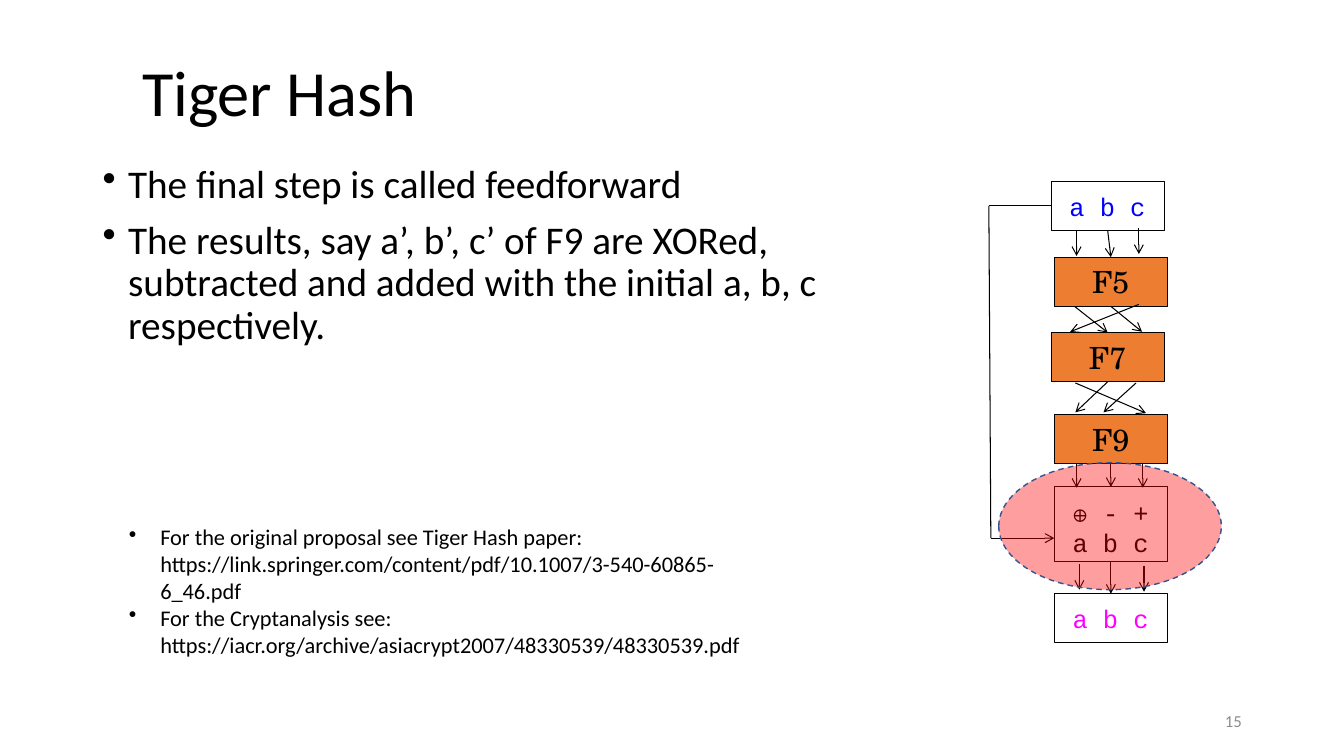
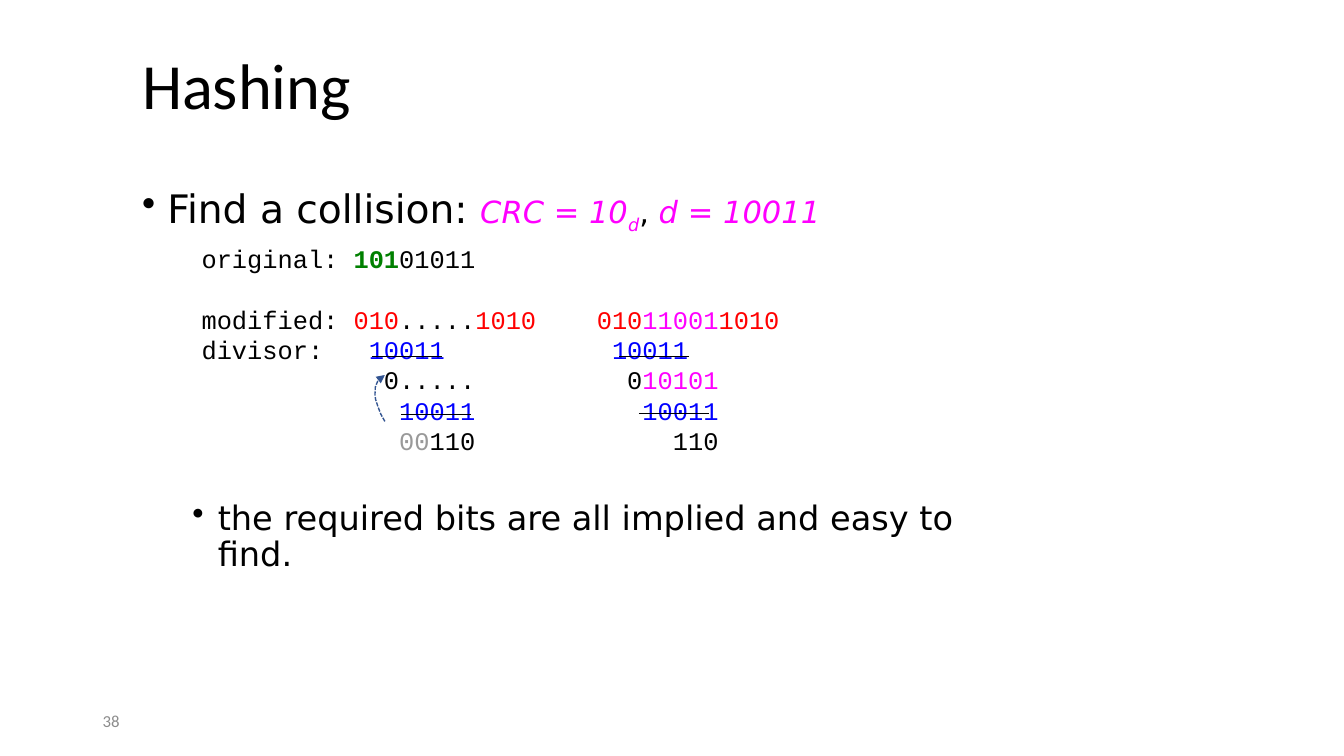
from dataclasses import dataclass
from typing import Optional, Union

from lxml import etree
from pptx import Presentation
from pptx import util as u
from pptx.dml.color import RGBColor
from pptx.enum import dml, shapes, text
from pptx.oxml.ns import qn

# Shared look
BLACK, GREY, DIM = "000000", "8C8C8C", "999999"
BLUE, RED, PINK, GREEN = "0000FF", "FF0000", "FF00FF", "008000"
ORANGE, NAVY = "ED7D31", "325491"
SANS, BODY, MONO, SERIF = "Calibri", "DejaVu Sans", "Courier New", "TeX Gyre Schola"
CODE_SIZE = 18.1
COLUMN = CODE_SIZE * 0.6 * 2.54 / 72  # width of one monospaced character in cm
INSET = (0.25, 0.13, 0.25, 0.13)
ANCHOR, ALIGN = text.MSO_ANCHOR, text.PP_ALIGN


@dataclass
class Run:
    text: str
    color: str = BLACK
    size: float = CODE_SIZE
    font: str = MONO
    bold: bool = False
    italic: bool = False
    baseline: int = 0


@dataclass
class Para:
    runs: list[Run]
    indent: float = 0
    hanging: float = 0
    before: float = 0
    line: Optional[float] = None
    align: ALIGN = ALIGN.LEFT
    tabs: tuple[float, ...] = ()


@dataclass
class Box:
    name: str
    left: float
    top: float
    lines: list[str]
    color: str = BLACK
    height: float = 1.24
    step: bool = False


# An end of a link is either a point in cm or a box name with its side
End = tuple[Union[float, str], float]


@dataclass
class Link:
    start: End
    end: End
    arrow: bool = True


@dataclass
class Cell:
    column: int
    runs: list[Run]


# Helpers
def rgb(color: str) -> RGBColor:
    return RGBColor.from_string(color)


def cm(*values: float) -> list[u.Cm]:
    return [u.Cm(v) for v in values]


def style_line(sp, color: str, width: float, dash=None, tail: str = "") -> None:
    sp.line.color.rgb = rgb(color)
    sp.line.width = u.Pt(width)
    if dash:
        sp.line.dash_style = dash
    if tail:
        etree.SubElement(sp.line._get_or_add_ln(), qn("a:tailEnd"), type=tail)


def write(tf, paras: list[Para], inset=INSET, anchor=ANCHOR.TOP, wrap: bool = True) -> None:
    tf.word_wrap = wrap
    tf.vertical_anchor = anchor
    tf.margin_left, tf.margin_top, tf.margin_right, tf.margin_bottom = cm(*inset)
    for i, para in enumerate(paras):
        p = tf.paragraphs[0] if i == 0 else tf.add_paragraph()
        p.alignment = para.align
        ppr = p._p.get_or_add_pPr()
        if para.hanging:
            ppr.set("marL", str(u.Cm(para.indent)))
            ppr.set("indent", str(-u.Cm(para.hanging)))
            etree.SubElement(ppr, qn("a:buChar"), char="•")
        if para.tabs:
            tabs = etree.SubElement(ppr, qn("a:tabLst"))
            for pos in para.tabs:
                etree.SubElement(tabs, qn("a:tab"), pos=str(u.Cm(pos)), algn="l")
        if para.line:
            p.line_spacing = para.line
        p.space_before = u.Pt(para.before if i else 0)
        for run in para.runs:
            r = p.add_run()
            r.text = run.text
            r.font.name, r.font.size = run.font, u.Pt(run.size)
            r.font.color.rgb = rgb(run.color)
            r.font.bold, r.font.italic = run.bold, run.italic
            if run.baseline:
                r._r.get_or_add_rPr().set("baseline", str(run.baseline * 1000))


def add_text(s, at: tuple[float, ...], paras: list[Para], **options) -> None:
    write(s.shapes.add_textbox(*cm(*at)).text_frame, paras, **options)


def add_slide(prs, title: str, title_top: float, number: str, number_left: float, align):
    s = prs.slides.add_slide(prs.slide_layouts[6])
    add_text(s, (3.33, title_top, 21.67, 2.03),
             [Para([Run(title, size=46, font=SANS)], line=0.9)], anchor=ANCHOR.MIDDLE)
    add_text(s, (number_left, 17.65, 7.62, 1.02),
             [Para([Run(number, GREY, 12, SANS)], align=align)], anchor=ANCHOR.MIDDLE)
    return s


def add_box(s, box: Box):
    sp = s.shapes.add_shape(shapes.MSO_SHAPE.RECTANGLE,
                            *cm(box.left, box.top, 2.85, box.height))
    sp.shadow.inherit = False
    style_line(sp, BLACK, 0.75)
    if box.step:
        sp.fill.solid()
        sp.fill.fore_color.rgb = rgb(ORANGE)
        paras = [Para([Run(t, BLACK, 21.8, SERIF)], align=ALIGN.CENTER) for t in box.lines]
        write(sp.text_frame, paras, (0, 0, 0, 0), ANCHOR.MIDDLE, False)
    else:
        sp.fill.background()
        paras = [Para([Run(t, box.color)]) for t in box.lines]
        write(sp.text_frame, paras, (0.46, 0.25, 0, 0), wrap=False)
    return sp


def add_link(s, link: Link, boxes: dict, width: float = 0.75) -> None:
    points = [(0, 0) if isinstance(e[0], str) else e for e in (link.start, link.end)]
    c = s.shapes.add_connector(shapes.MSO_CONNECTOR.STRAIGHT, *cm(*points[0], *points[1]))
    for (name, side), join in ((link.start, c.begin_connect), (link.end, c.end_connect)):
        if isinstance(name, str):
            join(boxes[name], side)
    style_line(c, BLACK, width, tail="arrow" if link.arrow else "")
    etree.SubElement(c._element.spPr, qn("a:effectLst"))


# Tiger Hash diagram
LEFT, LEFT_SHIFTED = 26.57, 26.49
BOXES = [
    Box("input", LEFT_SHIFTED, 4.57, ["a b c"], BLUE),
    Box("F5", LEFT, 6.48, ["F5"], step=True),
    Box("F7", LEFT_SHIFTED, 8.38, ["F7"], step=True),
    Box("F9", LEFT, 10.44, ["F9"], step=True),
    Box("mix", LEFT, 12.27, ["⊕ - +", "a b c"], height=1.89),
    Box("output", LEFT, 14.96, ["a b c"], PINK),
]
LINKS = [
    # straight down
    Link((27.13, 5.79), (27.13, 6.45)),
    Link(("input", 2), ("F5", 0)),
    Link((28.7, 5.74), (28.7, 6.4)),
    Link((27.13, 11.66), (27.13, 12.29)),
    Link(("F9", 2), ("mix", 0)),
    Link((28.8, 11.66), (28.8, 12.29)),
    Link((27.2, 14.2), (27.2, 14.86)),
    Link(("mix", 2), ("output", 0)),
    Link((28.83, 14.25), (28.83, 14.91)),
    # crossings
    Link((27.08, 7.72), ("F7", 0)),
    Link(("F5", 2), (28.78, 8.36)),
    Link((28.7, 7.67), (26.97, 8.36)),
    Link((27.1, 9.65), (28.88, 10.41)),
    Link(("F7", 2), (27.1, 10.39)),
    Link((28.63, 9.65), (27.81, 10.39)),
    # feedforward
    Link(("input", 1), (24.92, 5.19), False),
    Link((24.92, 5.19), (24.97, 13.56), False),
    Link((24.97, 13.56), (26.57, 13.56)),
]


def tiger_slide(prs) -> None:
    s = add_slide(prs, "Tiger Hash", 1.4, "15", 23.93, ALIGN.RIGHT)
    points = ["The final step is called feedforward",
              "The results, say a’, b’, c’ of F9 are XORed, subtracted and added "
              "with the initial a, b, c respectively."]
    add_text(s, (2.34, 4.01, 20.57, 6.35),
             [Para([Run(t, size=28, font=SANS)], 0.64, 0.64, 10, 0.9) for t in points])
    sources = ["For the original proposal see Tiger Hash paper: "
               "https://link.springer.com/content/pdf/10.1007/3-540-60865-6_46.pdf",
               "For the Cryptanalysis see: "
               "https://iacr.org/archive/asiacrypt2007/48330539/48330539.pdf"]
    add_text(s, (3, 13.06, 16.94, 3.68),
             [Para([Run(t, size=16, font=SANS)], 0.79, 0.79) for t in sources])

    boxes = {box.name: add_box(s, box) for box in BOXES}
    for link in LINKS:
        add_link(s, link, boxes)

    # Translucent highlight
    sp = s.shapes.add_shape(shapes.MSO_SHAPE.OVAL, *cm(25.17, 11.66, 5.61, 3.2))
    sp.shadow.inherit = False
    sp.fill.solid()
    sp.fill.fore_color.rgb = rgb(RED)
    fill = sp._element.spPr.find(qn("a:solidFill"))
    etree.SubElement(fill[0], qn("a:alpha"), val="38000")
    style_line(sp, NAVY, 1, dml.MSO_LINE.DASH)


# Division worked out in character columns
DIVISOR = [Run("10011", BLUE)]
ROWS = [
    [Cell(0, [Run("original:")]), Cell(10, [Run("101", GREEN, bold=True), Run("01011")])],
    [Cell(0, [Run("modified:")]),
     Cell(10, [Run("010", RED), Run("....."), Run("1010", RED)]),
     Cell(26, [Run("010", RED), Run("11001", PINK), Run("1010", RED)])],
    [Cell(0, [Run("divisor:")]), Cell(11, DIVISOR), Cell(27, DIVISOR)],
    [Cell(12, [Run("0.....")]), Cell(28, [Run("0"), Run("10101", PINK)])],
    [Cell(13, DIVISOR), Cell(29, DIVISOR)],
    [Cell(13, [Run("00", DIM), Run("110")]), Cell(31, [Run("110")])],
]
STRIKES = [(9.37, 8.97), (10.11, 10.44), (15.6, 8.97), (16.1, 10.41)]
CURVE = [(9.7, 10.62), (9.6, 10.44), (9.53, 10.26), (9.47, 10.08), (9.45, 9.96),
         (9.46, 9.75), (9.53, 9.58), (9.65, 9.5), (9.7, 9.45)]


def row_para(index: int, cells: list[Cell]) -> Para:
    runs = []
    for cell in cells:
        if cell.column:
            runs.append(Run("\t"))
        runs += cell.runs
    tabs = tuple(cell.column * COLUMN for cell in cells if cell.column)
    return Para(runs, before=21.7 if index == 1 else 0, tabs=tabs)


def hashing_slide(prs) -> None:
    s = add_slide(prs, "Hashing", 1.22, "38", 2.34, ALIGN.LEFT)
    formula = dict(color=PINK, size=21.8, font=BODY, italic=True)
    add_text(s, (3.33, 4.6, 21.67, 1.4), [Para([
        Run("Find a collision: ", size=28, font=BODY),
        Run("CRC = 10", **formula), Run("d", baseline=-25, **formula),
        Run(", ", size=21.8, font=BODY), Run("d = 10011", **formula),
    ], 0.64, 0.64, line=0.9)])
    add_text(s, (3.33, 12.5, 21.67, 2.4), [Para([
        Run("the required bits are all implied and easy to find.", size=24, font=BODY),
    ], 1.91, 0.64, line=0.9)])

    add_text(s, (5.08, 6.12, 17.3, 5.4),
             [row_para(i, cells) for i, cells in enumerate(ROWS)],
             inset=(0, 0, 0, 0), wrap=False)
    for x, y in STRIKES:
        add_link(s, Link((x, y), (x + 1.76, y), False), {}, 0.5)

    # Dashed arrow back to the bit found
    start, *rest = [cm(*point) for point in CURVE]
    builder = s.shapes.build_freeform(*start)
    builder.add_line_segments(rest, close=False)
    sp = builder.convert_to_shape()
    sp.shadow.inherit = False
    sp.fill.background()
    style_line(sp, NAVY, 1, dml.MSO_LINE.SQUARE_DOT, "triangle")


def main() -> None:
    prs = Presentation()
    prs.slide_width, prs.slide_height = cm(33.87, 19.05)
    tiger_slide(prs)
    hashing_slide(prs)
    prs.save("out.pptx")


if __name__ == "__main__":
    main()
